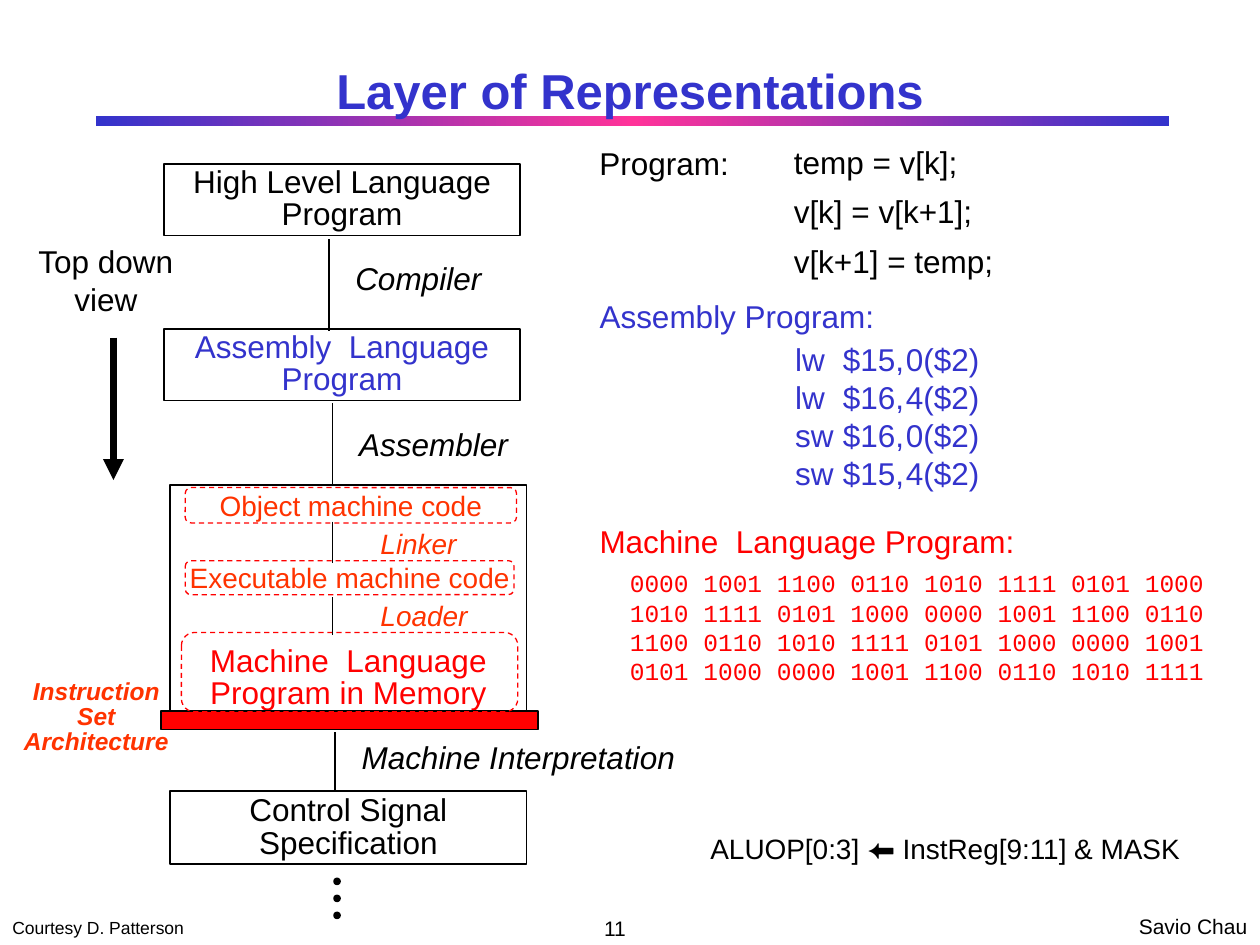
from copy import deepcopy

from lxml import etree
from pptx import Presentation
from pptx.dml.color import RGBColor
from pptx.enum.dml import MSO_LINE
from pptx.enum.shapes import MSO_CONNECTOR, MSO_SHAPE
from pptx.enum.text import MSO_ANCHOR, MSO_AUTO_SIZE, PP_ALIGN
from pptx.oxml.ns import qn
from pptx.util import Inches, Pt

COLORS = {
    "black": "000000",
    "blue": "3333CC",
    "pink": "FF3399",
    "red": "FF0000",
    "orange": "FF3300",
}
TIGHT = (0.07, 0.03)
ROOMY = (0.1, 0.05)
CENTER = PP_ALIGN.CENTER
MIDDLE = MSO_ANCHOR.MIDDLE
LAYER = {"align": CENTER, "spacing": 0.85, "insets": TIGHT}
STEP = {"italic": True, "spacing": 0.85, "insets": TIGHT}


def rgb(color):
    return RGBColor.from_string(COLORS[color])


def write(shape, lines, size=18, color="black", font="Arial", bold=False, italic=False,
          align=PP_ALIGN.LEFT, anchor=MSO_ANCHOR.TOP, spacing=1.0, before=0, hang=0,
          insets=ROOMY, wrap=True):
    frame = shape.text_frame
    frame.text = "\n".join(lines)
    side, edge = map(Inches, insets)
    frame_format = {
        "auto_size": MSO_AUTO_SIZE.NONE, "word_wrap": wrap, "vertical_anchor": anchor,
        "margin_left": side, "margin_right": side, "margin_top": edge, "margin_bottom": edge,
    }
    for name, value in frame_format.items():
        setattr(frame, name, value)
    font_format = {"name": font, "size": Pt(size), "bold": bold, "italic": italic}
    for index, paragraph in enumerate(frame.paragraphs):
        paragraph.alignment = align
        paragraph.line_spacing = spacing
        paragraph.space_before = Pt(before if index else 0)
        if hang:
            properties = paragraph._p.get_or_add_pPr()
            properties.set("marL", str(Inches(hang)))
            properties.set("indent", str(Inches(-hang)))
        for name, value in font_format.items():
            setattr(paragraph.font, name, value)
        paragraph.font.color.rgb = rgb(color)


def add_label(slide, box, lines, **style):
    write(slide.shapes.add_textbox(*map(Inches, box)), lines, **style)


def add_box(slide, box, kind=MSO_SHAPE.RECTANGLE, fill=None, line="black", width=1, dash=None):
    shape = slide.shapes.add_shape(kind, *map(Inches, box))
    shape.shadow.inherit = False
    if fill:
        shape.fill.solid()
        shape.fill.fore_color.rgb = rgb(fill)
    else:
        shape.fill.background()
    shape.line.color.rgb = rgb(line)
    shape.line.width = Pt(width)
    if dash:
        shape.line.dash_style = dash
    return shape


def add_drop(slide, x, top, bottom, width=1, arrow=False):
    drop = slide.shapes.add_connector(
        MSO_CONNECTOR.STRAIGHT, Inches(x), Inches(top), Inches(x), Inches(bottom))
    drop.line.color.rgb = rgb("black")
    drop.line.width = Pt(width)
    if arrow:
        etree.SubElement(drop.line._get_or_add_ln(), qn("a:tailEnd"), type="triangle")
    etree.SubElement(drop._element.spPr, qn("a:effectLst"))


def add_heading(slide, left, top, width, height):
    title = slide.shapes.title
    place = {"left": left, "top": top, "width": width, "height": height}
    for name, value in place.items():
        setattr(title, name, Inches(value))
    write(title, ["Layer of Representations"], size=28, color="blue", bold=True,
          align=CENTER, anchor=MIDDLE)

    rule = add_box(slide, (left + 0.01, top + 0.5, width + 0.02, 0.08))
    rule.line.fill.background()
    rule.fill.gradient()
    rule.fill.gradient_angle = 0
    first = rule._element.xpath(".//a:gs")[0]
    first.addnext(deepcopy(first))
    for stop, (position, color) in zip(
            rule.fill.gradient_stops, ((0, "blue"), (0.5, "pink"), (1, "blue"))):
        stop.position = position
        stop.color.rgb = rgb(color)
    title._element.addprevious(rule._element)


def add_layers(slide, left, top, width):
    layers = (
        (0, 0, 0.57, "High Level Language Program", "black", {}),
        (0, 1.31, 0.57, "Assembly  Language Program", "blue", {}),
        (0.05, 2.55, 1.82, "Machine  Language Program in Memory", "red",
         {"anchor": MSO_ANCHOR.BOTTOM}),
        (0.05, 4.98, 0.58, "Control Signal Specification", "black", {"spacing": 0.88}),
    )
    for dx, dy, height, name, color, extra in layers:
        write(add_box(slide, (left + dx, top + dy, width, height)), [name],
              color=color, **{**LAYER, **extra})

    steps = (
        (1.31, 0.6, 1.33, 0.77, 1.44, "Compiler"),
        (1.34, 1.9, 2.56, 2.09, 1.58, "Assembler"),
        (1.36, 4.51, 4.98, 4.57, 2.97, "Machine Interpretation"),
    )
    for dx, start, end, label_top, label_width, name in steps:
        add_drop(slide, left + dx, top + start, top + end)
        add_label(slide, (left + dx + 0.14, top + label_top, label_width, 0.31), [name], **STEP)

    add_box(slide, (left - 0.02, top + 4.34, 2.99, 0.15), fill="red")
    for index in range(3):
        add_box(slide, (left + 1.35, top + 5.67 + index * 0.135, 0.05, 0.05),
                MSO_SHAPE.OVAL, fill="black", width=0.75)


def add_memory_stages(slide, left, top):
    stages = (
        (0.03, 0, 2.63, 0.28, ["Object machine code"]),
        (0.03, 0.58, 2.61, 0.27, ["Executable machine code"]),
        (0, 1.15, 2.67, 0.63, []),
    )
    for dx, dy, width, height, lines in stages:
        stage = add_box(slide, (left + dx, top + dy, width, height), MSO_SHAPE.ROUNDED_RECTANGLE,
                        line="red", width=0.75, dash=MSO_LINE.DASH)
        if lines:
            write(stage, lines, size=16, color="orange", align=CENTER, anchor=MIDDLE, wrap=False)

    for start, end, label_top, name in ((0.27, 0.6, 0.32, "Linker"), (0.87, 1.17, 0.89, "Loader")):
        add_drop(slide, left + 1.2, top + start, top + end, 0.75)
        add_label(slide, (left + 1.51, top + label_top, 0.93, 0.28), [name],
                  size=16, color="orange", **STEP)


def add_side_notes(slide, left, top):
    add_label(slide, (left + 0.29, top, 1.1, 0.6), ["Top down", "view"],
              align=CENTER, insets=(0, 0), wrap=False)
    add_drop(slide, left + 0.9, top + 0.76, top + 1.89, 4, arrow=True)
    add_label(slide, (left, top + 3.45, 1.53, 0.65), ["Instruction", "Set Architecture"],
              size=14, color="orange", bold=True, italic=True, **LAYER)


def add_code(slide, left, top):
    headings = (
        (0, 1.23, "Program:", "black"),
        (1.22, 2.38, "Assembly Program:", "blue"),
        (3, 3.49, "Machine  Language Program:", "red"),
    )
    for dy, width, name, color in headings:
        add_label(slide, (left, top + dy, width, 0.4), [name], color=color, wrap=False)

    add_label(slide, (left + 1.57, top + 0.05, 2.15, 1.11),
              ["temp = v[k];", "v[k] = v[k+1];", "v[k+1] = temp;"],
              spacing=0.88, before=9.4, hang=0.38, insets=TIGHT)
    add_label(slide, (left + 1.58, top + 1.58, 2.36, 1.26),
              ["lw\t$15,\t0($2)", "lw\t$16,\t4($2)", "sw\t$16,\t0($2)", "sw\t$15,\t4($2)"],
              color="blue", hang=0.38, insets=TIGHT)
    add_label(slide, (left + 0.24, top + 3.37, 4.88, 1.03),
              ["0000 1001 1100 0110 1010 1111 0101 1000",
               "1010 1111 0101 1000 0000 1001 1100 0110",
               "1100 0110 1010 1111 0101 1000 0000 1001",
               "0101 1000 0000 1001 1100 0110 1010 1111"],
              size=14, color="red", font="Courier New", wrap=False)
    add_label(slide, (left + 0.88, top + 5.46, 3.94, 0.36),
              ["ALUOP[0:3] ⬅ InstReg[9:11] & MASK"], size=16, wrap=False)


def add_footer(slide, left, top):
    add_label(slide, (left, top + 0.03, 1.56, 0.27), ["Courtesy D. Patterson"],
              size=10, wrap=False)
    add_label(slide, (left + 3.84, top + 0.04, 2.08, 0.26), ["11"],
              size=12, align=CENTER, anchor=MIDDLE)
    add_label(slide, (left + 8.94, top, 1.06, 0.3), ["Savio Chau"], size=12, wrap=False)


def main():
    deck = Presentation()
    deck.slide_width, deck.slide_height = Inches(10), Inches(7.5)
    slide = deck.slides.add_slide(deck.slide_layouts[5])
    add_heading(slide, 0.75, 0.42, 8.5, 0.58)
    add_layers(slide, 1.3, 1.3, 2.83)
    add_memory_stages(slide, 1.44, 3.87)
    add_side_notes(slide, 0, 1.92)
    add_code(slide, 4.66, 1.09)
    add_footer(slide, 0, 7.2)
    deck.save("out.pptx")


if __name__ == "__main__":
    main()
